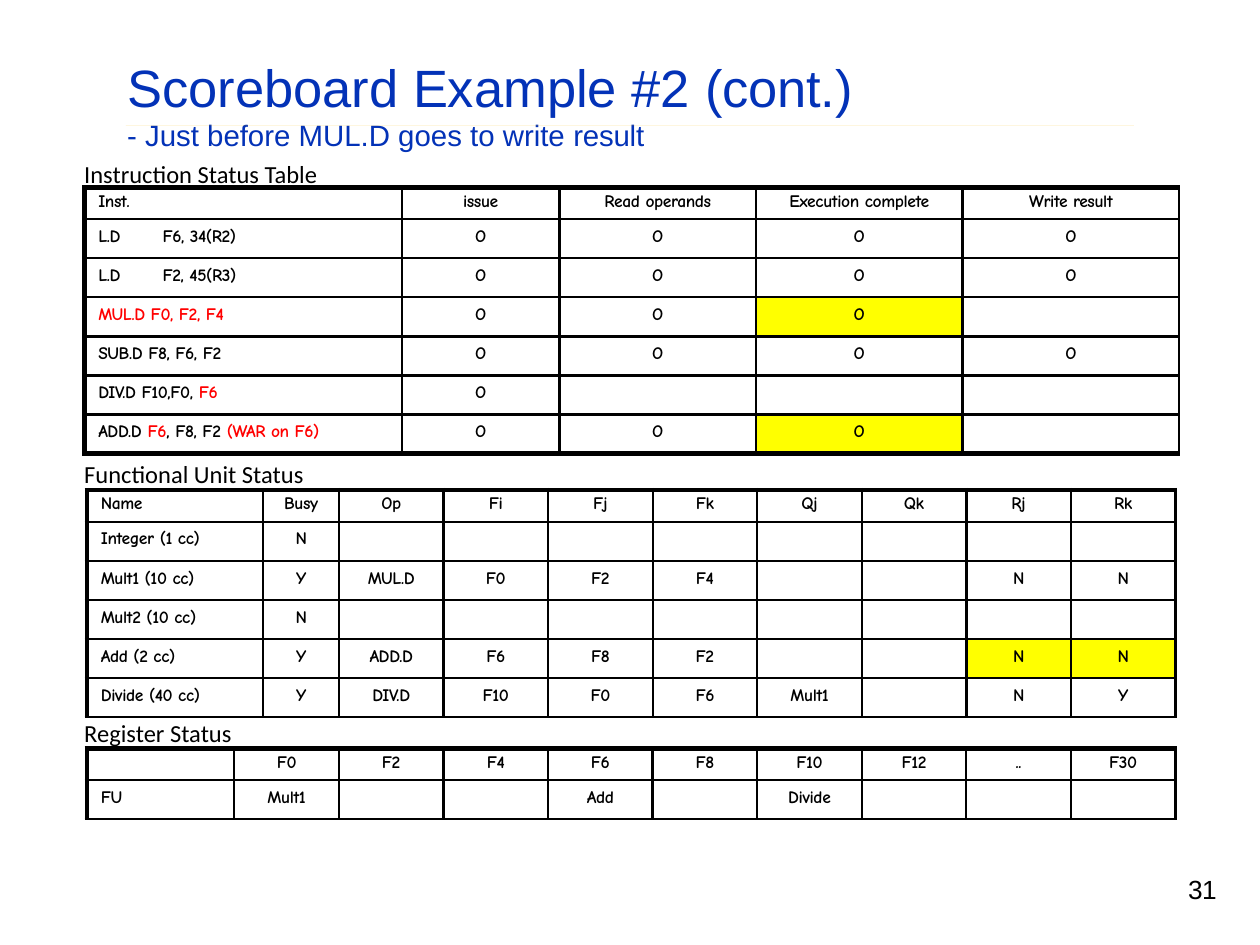
from lxml import etree
from pptx import Presentation
from pptx import util as u
from pptx.dml.color import RGBColor
from pptx.enum import text
from pptx.oxml import ns

HUES = {"ink": "000000", "red": "FF0000", "blue": "0332B7",
        "gold": "FBBA03", "mark": "FFFF00"}
THIN, THICK = 1.5, 3

# Content: a cell is a string, or a list of (words, hue) runs
TITLE = [([("Scoreboard Example #2 ", 0), ("(cont.)", -0.1)], 30, 35.2),
         ([("- Just before MUL.D goes to write ", 0), ("result", -0.1)], 16.8, 19.3)]
LABELS = [("Instruction Status Table", 1.21, 2.4),
          ("Functional Unit Status", 3.59, 2.13),
          ("Register Status", 5.65, 1.37)]
INST = [
    ["Inst.", "issue", "Read operands", "Execution complete", "Write result"],
    ["L.D\tF6, 34(R2)", "O", "O", "O", "O"],
    ["L.D\tF2, 45(R3)", "O", "O", "O", "O"],
    [[("MUL.D F0, F2, F4", "red")], "O", "O", "O", ""],
    ["SUB.D F8, F6, F2", "O", "O", "O", "O"],
    [[("DIV.D F10,F0, ", "ink"), ("F6", "red")], "O", "", "", ""],
    [[("ADD.D ", "ink"), ("F6", "red"), (", F8, F2 ", "ink"),
      ("(WAR on F6)", "red")], "O", "O", "O", ""],
]
UNITS = [
    ["Name", "Busy", "Op", "Fi", "Fj", "Fk", "Qj", "Qk", "Rj", "Rk"],
    ["Integer (1 cc)", "N"] + [""] * 8,
    ["Mult1 (10 cc)", "Y", "MUL.D", "F0", "F2", "F4", "", "", "N", "N"],
    ["Mult2 (10 cc)", "N"] + [""] * 8,
    ["Add (2 cc)", "Y", "ADD.D", "F6", "F8", "F2", "", "", "N", "N"],
    ["Divide (40 cc)", "Y", "DIV.D", "F10", "F0", "F6", "Mult1", "", "N", "Y"],
]
REGS = [
    ["", "F0", "F2", "F4", "F6", "F8", "F10", "F12", "..", "F30"],
    ["FU", "Mult1", "", "", "Add", "", "Divide", "", "", ""],
]
# rows, left, top, column widths, marked cells, bottom line
TABLES = [
    (INST, 0.67, 1.49, [2.52, 1.25, 1.56, 1.64, 1.72], {(3, 3), (6, 3)}, THICK),
    (UNITS, 0.69, 3.89, [1.4, 0.6] + [0.83] * 8, {(4, 8), (4, 9)}, THIN),
    (REGS, 0.69, 5.94, [1.17] + [0.83] * 9, set(), THIN),
]


def add_run(para, words, size, face, hue="ink", gap=0, bold=False):
    run = para.add_run()
    run.text = words
    font = run.font
    font.size, font.name, font.bold = u.Pt(size), face, bold
    font.color.rgb = RGBColor.from_string(HUES[hue])
    if gap:
        font._element.set("spc", str(round(gap * 100)))


def clear_pad(box):
    box.margin_left = box.margin_right = box.margin_top = box.margin_bottom = 0


def add_box(slide, left, top, wide, high):
    frame = slide.shapes.add_textbox(*map(u.Inches, (left, top, wide, high))).text_frame
    frame.word_wrap = True
    return frame


def add_edges(cell, edges):
    props = cell._tc.get_or_add_tcPr()
    for side, width in zip("LRTB", edges):
        line = etree.SubElement(props, ns.qn("a:ln" + side), w=str(u.Pt(width)))
        fill = etree.SubElement(line, ns.qn("a:solidFill"))
        etree.SubElement(fill, ns.qn("a:srgbClr"), val=HUES["ink"])


def fill_cell(cell, words, row, col):
    clear_pad(cell)
    cell.margin_top = u.Inches(0.06 if row else 0.03)
    para = cell.text_frame.paragraphs[0]
    if not words:
        para._p.get_or_add_endParaRPr().set("sz", "1000")
        return
    if col:
        para.alignment = text.PP_ALIGN.CENTER
    else:
        props = para._p.get_or_add_pPr()
        props.set("marL", str(u.Inches(0.11)))
        if "\t" in words:
            tabs = etree.SubElement(props, ns.qn("a:tabLst"))
            etree.SubElement(tabs, ns.qn("a:tab"), pos=str(u.Inches(0.51)), algn="l")
    runs = [(words, "ink")] if isinstance(words, str) else words
    for part, hue in runs:
        add_run(para, part, 10, "Comic Neue", hue, -0.2, True)


def add_grid(slide, rows, left, top, wides, marks, base):
    highs = [0.25] + [0.31] * (len(rows) - 1)
    grid = slide.shapes.add_table(
        len(rows), len(wides), u.Inches(left), u.Inches(top),
        u.Inches(sum(wides)), u.Inches(sum(highs))).table
    grid.first_row = grid.horz_banding = False
    for col, wide in zip(grid.columns, wides):
        col.width = u.Inches(wide)
    for row, high in zip(grid.rows, highs):
        row.height = u.Inches(high)
    for r, row in enumerate(rows):
        for c, words in enumerate(row):
            cell = grid.cell(r, c)
            fill_cell(cell, words, r, c)
            add_edges(cell, (THIN if c else THICK, THIN, THIN if r else THICK,
                             base if r == len(rows) - 1 else THIN))
            if (r, c) in marks:
                cell.fill.solid()
                cell.fill.fore_color.rgb = RGBColor.from_string(HUES["mark"])
            else:
                cell.fill.background()


def add_rule(slide):
    pen = None
    for top, low in [(1.29, 1.32), (1.27, 1.28)]:
        if pen is None:
            pen = slide.shapes.build_freeform(9.14, top, scale=u.Inches(1))
        else:
            pen.move_to(9.14, top)
        pen.add_line_segments([(0.89, top), (0.89, low), (9.14, low)], close=True)
    rule = pen.convert_to_shape()
    rule.shadow.inherit = False
    rule.fill.solid()
    rule.fill.fore_color.rgb = RGBColor.from_string(HUES["gold"])
    rule.line.fill.background()


def add_title(slide):
    title = slide.shapes.title
    title.left, title.top, title.width, title.height = map(
        u.Inches, (1, 0.44, 8.15, 0.77))
    frame = title.text_frame
    clear_pad(frame)
    frame.margin_top = u.Inches(0.01)
    frame.vertical_anchor = text.MSO_ANCHOR.TOP
    frame.auto_size = text.MSO_AUTO_SIZE.NONE
    for i, (runs, size, lead) in enumerate(TITLE):
        para = frame.add_paragraph() if i else frame.paragraphs[0]
        para.alignment = text.PP_ALIGN.LEFT
        para.line_spacing = u.Pt(lead)
        para.space_before = u.Pt(0)
        para._p.get_or_add_pPr().set("marL", str(u.Inches(0.01)))
        for words, gap in runs:
            add_run(para, words, size, "Arial", "blue", gap)


def main():
    deck = Presentation()
    deck.slide_width, deck.slide_height = u.Inches(10), u.Inches(7.5)
    slide = deck.slides.add_slide(deck.slide_layouts[5])
    add_rule(slide)
    for table in TABLES:
        add_grid(slide, *table)
    add_title(slide)

    # Page number
    frame = add_box(slide, 9.28, 6.94, 0.42, 0.48)
    clear_pad(frame)
    para = frame.paragraphs[0]
    para.line_spacing = u.Pt(17.5)
    para._p.get_or_add_pPr().set("marL", str(u.Inches(0.15)))
    add_run(para, "31", 15, "Arial", gap=-0.4)

    # Table labels
    for words, top, wide in LABELS:
        frame = add_box(slide, 0.57, top, wide, 0.34)
        add_run(frame.paragraphs[0], words, 14, "Calibri")
    deck.save("out.pptx")


if __name__ == "__main__":
    main()
